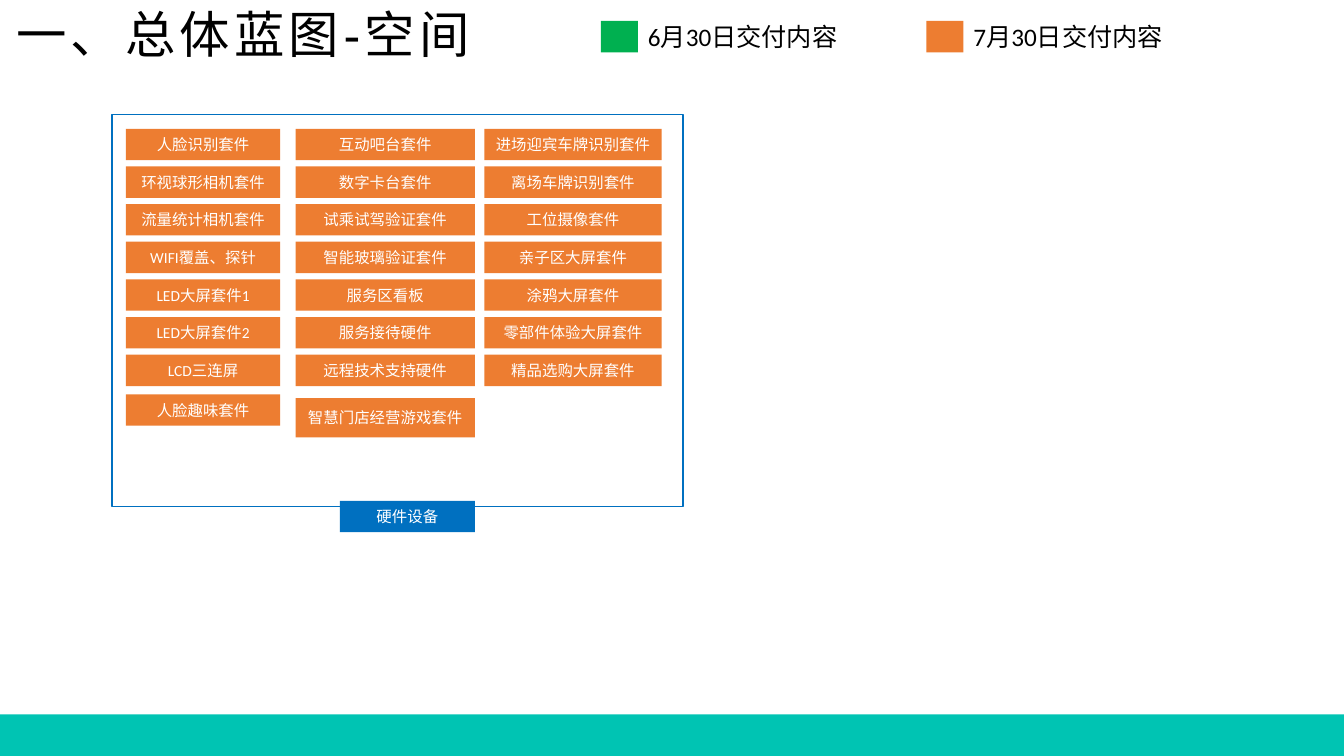
"""Build the hardware blueprint slide."""
from pptx import Presentation
from pptx.dml.color import RGBColor
from pptx.enum.shapes import MSO_SHAPE
from pptx.enum.text import MSO_ANCHOR, MSO_AUTO_SIZE, PP_ALIGN
from pptx.util import Pt

RECTANGLE = MSO_SHAPE.RECTANGLE
TOP, MIDDLE = MSO_ANCHOR.TOP, MSO_ANCHOR.MIDDLE
LEFT, CENTER = PP_ALIGN.LEFT, PP_ALIGN.CENTER
NO_FIT = MSO_AUTO_SIZE.NONE
TITLE_ONLY = 5

COLORS = {
    "teal": "00C4B3",
    "green": "00B050",
    "orange": "ED7D31",
    "blue": "0070C0",
    "white": "FFFFFF",
    "black": "000000",
}

FIRST_TOP, ROW_PITCH, KIT_HEIGHT = 92, 26.9, 22.4

KIT_COLUMNS = [
    (90, 110.2, ["人脸识别套件", "环视球形相机套件", "流量统计相机套件", "WIFI覆盖、探针",
                 "LED大屏套件1", "LED大屏套件2", "LCD三连屏"]),
    (211.2, 128, ["互动吧台套件", "数字卡台套件", "试乘试驾验证套件", "智能玻璃验证套件",
                  "服务区看板", "服务接待硬件", "远程技术支持硬件"]),
    (346, 126.7, ["进场迎宾车牌识别套件", "离场车牌识别套件", "工位摄像套件", "亲子区大屏套件",
                  "涂鸦大屏套件", "零部件体验大屏套件", "精品选购大屏套件"]),
]

LEGEND = [(429.2, "green", "6月30日交付内容"), (661.7, "orange", "7月30日交付内容")]


def rgb(name):
    """Return the named colour."""
    return RGBColor.from_string(COLORS[name])


def write(box, text, size=11, color="white", font="Calibri", align=CENTER, anchor=MIDDLE):
    """Write one formatted paragraph in a box and return it."""
    frame = box.text_frame
    frame.word_wrap = True
    frame.auto_size = NO_FIT
    frame.vertical_anchor = anchor
    para = frame.paragraphs[0]
    para.alignment = align
    span = para.add_run()
    span.text = text
    span.font.size = Pt(size)
    span.font.name = font
    span.font.color.rgb = rgb(color)
    return para


def add_block(page, left, top, width, height, fill, text=None, line=None):
    """Add a filled rectangle with an optional label and outline."""
    block = page.shapes.add_shape(RECTANGLE, Pt(left), Pt(top), Pt(width), Pt(height))
    block.shadow.inherit = False
    block.fill.solid()
    block.fill.fore_color.rgb = rgb(fill)
    if line:
        block.line.color.rgb = rgb(line)
        block.line.width = Pt(1)
    else:
        block.line.fill.background()
    if text:
        write(block, text)


def add_title(page, text):
    """Place and format the title placeholder."""
    title = page.shapes.title
    title.left, title.top, title.width, title.height = Pt(4.3), Pt(3.6), Pt(396.7), Pt(39.6)
    para = write(title, text, size=36, color="black", font="Arial", align=LEFT, anchor=TOP)
    para.line_spacing = 0.9
    para.space_before = Pt(10)
    para.runs[0].font._element.set("spc", "300")


def add_legend_entry(page, left, color, text):
    """Add a colour swatch followed by its delivery date."""
    add_block(page, left, 15, 26.5, 22.4, color)
    label = page.shapes.add_textbox(Pt(left + 26.5), Pt(11.8), Pt(151.2), Pt(29))
    write(label, text, size=18, color="black", align=LEFT, anchor=TOP)


def add_kit_column(page, left, width, names):
    """Stack the kits of one column at an equal pitch."""
    for row, name in enumerate(names):
        add_block(page, left, FIRST_TOP + row * ROW_PITCH, width, KIT_HEIGHT, "orange", name)


def main():
    """Build and save the deck."""
    deck = Presentation()
    deck.slide_width, deck.slide_height = Pt(960), Pt(540)
    page = deck.slides.add_slide(deck.slide_layouts[TITLE_ONLY])
    add_block(page, 0, 510.3, 960, 29.7, "teal")
    add_title(page, "一、总体蓝图-空间")
    for entry in LEGEND:
        add_legend_entry(page, *entry)
    add_block(page, 80, 82, 408, 280, "white", line="blue")
    add_block(page, 242.8, 357.8, 96.4, KIT_HEIGHT, "blue", "硬件设备")
    for column in KIT_COLUMNS:
        add_kit_column(page, *column)
    add_block(page, 90, 281.7, 110.2, KIT_HEIGHT, "orange", "人脸趣味套件")
    add_block(page, 211.2, 284.4, 128, 28, "orange", "智慧门店经营游戏套件")
    deck.save("out.pptx")


main()
